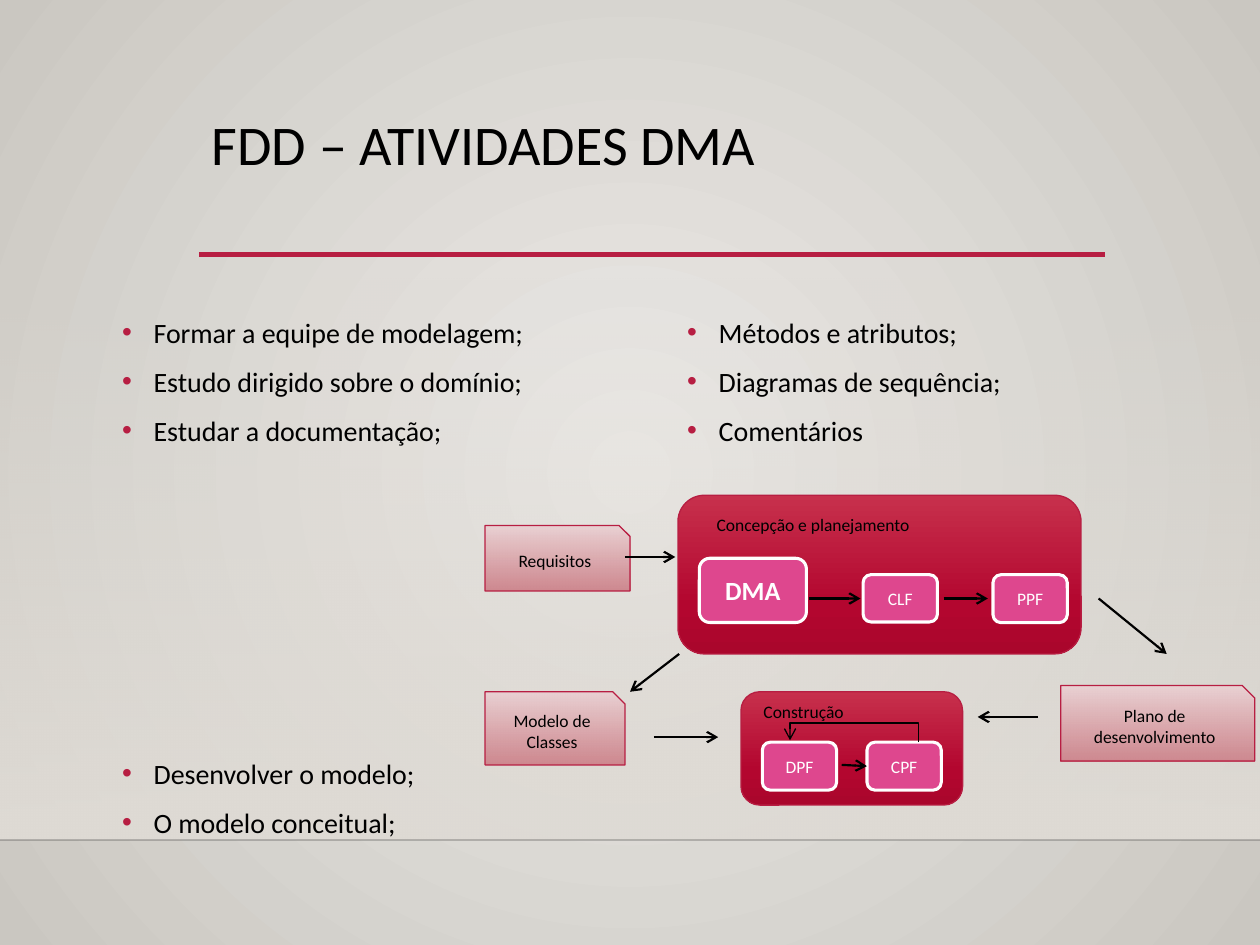
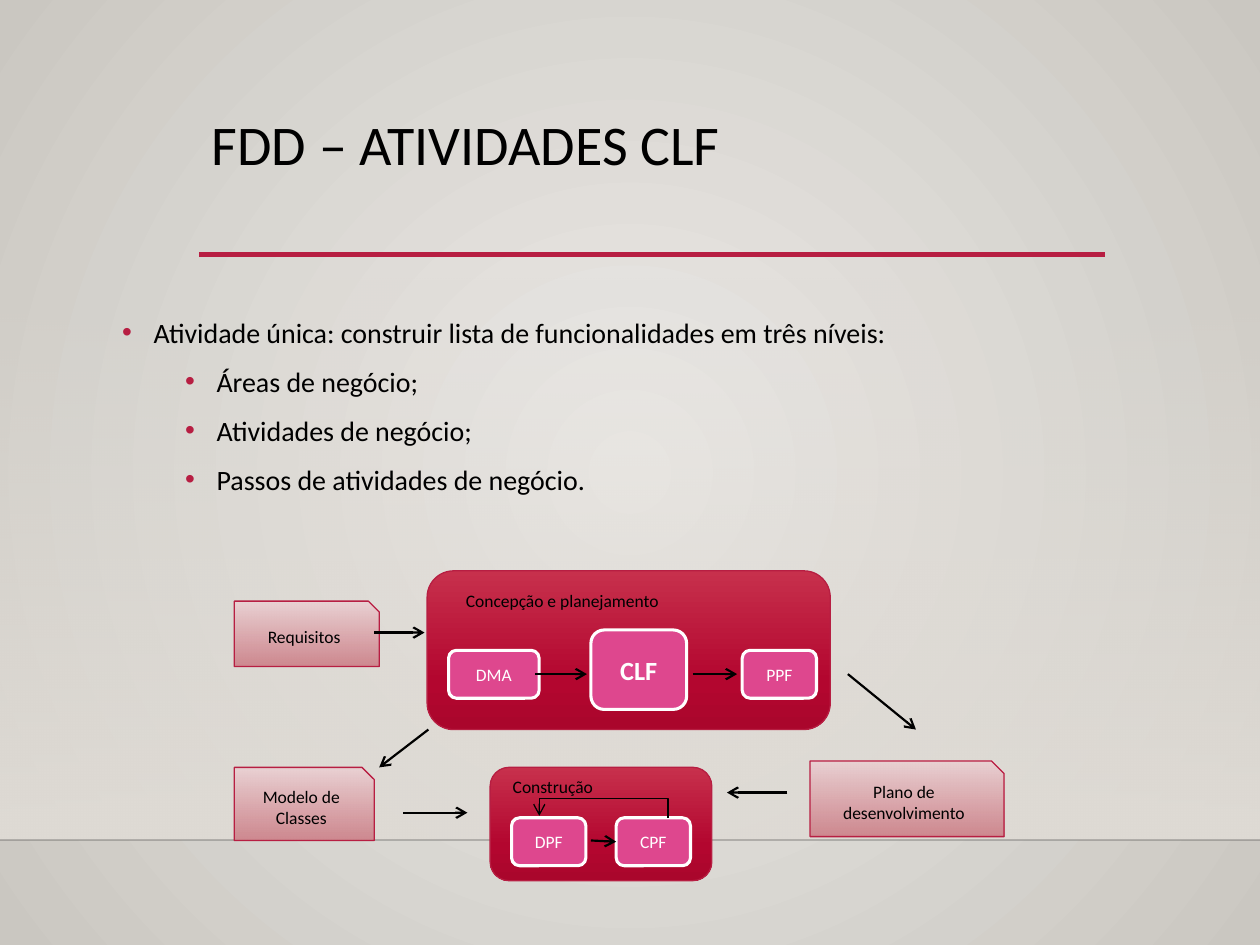
from lxml import etree
from pptx import Presentation
from pptx.dml.color import RGBColor
from pptx.enum.shapes import MSO_CONNECTOR, MSO_SHAPE
from pptx.enum.text import MSO_ANCHOR, MSO_AUTO_SIZE, PP_ALIGN
from pptx.oxml.ns import qn
from pptx.util import Pt

RECT, ROUNDED, SNIPPED = MSO_SHAPE.RECTANGLE, MSO_SHAPE.ROUNDED_RECTANGLE, MSO_SHAPE.SNIP_1_RECTANGLE
STRAIGHT, ELBOW = MSO_CONNECTOR.STRAIGHT, MSO_CONNECTOR.ELBOW
TOP, MIDDLE = MSO_ANCHOR.TOP, MSO_ANCHOR.MIDDLE
LEFT, CENTER = PP_ALIGN.LEFT, PP_ALIGN.CENTER
NO_FIT = MSO_AUTO_SIZE.NONE

FONT = "Calibri"
BLACK = RGBColor(0x00, 0x00, 0x00)
WHITE = RGBColor(0xFF, 0xFF, 0xFF)
CRIMSON = RGBColor(0xB7, 0x1E, 0x42)
PINK = RGBColor(0xDE, 0x47, 0x8E)
BAND = RGBColor(0xDF, 0xDB, 0xD5)

# Gradient stops: position %, colour, opacity %
BACKGROUND_STOPS = [(0, RGBColor(0xEC, 0xEA, 0xE7), 100), (100, RGBColor(0xCA, 0xC7, 0xC1), 100)]
BAND_STOPS = [(0, BAND, 0), (100, BAND, 100)]
PHASE_STOPS = [(0, RGBColor(0xC7, 0x30, 0x4C), 100), (69, RGBColor(0xB3, 0x06, 0x2F), 100),
               (100, RGBColor(0xAA, 0x06, 0x2C), 100)]
DOCUMENT_STOPS = [(0, RGBColor(0xEA, 0xD1, 0xD3), 100), (100, RGBColor(0xCD, 0x82, 0x8A), 92)]


def add_xml(parent, tag, **attributes):
    return etree.SubElement(parent, qn(tag), attributes)


def fill_gradient(fill, holder, stops, radial=False):
    fill.gradient()
    gradient = next(holder.iter(qn("a:gradFill")))
    gradient.clear()
    stop_list = add_xml(gradient, "a:gsLst")
    for position, color, opacity in stops:
        stop = add_xml(stop_list, "a:gs", pos=str(position * 1000))
        value = add_xml(stop, "a:srgbClr", val=str(color))
        if opacity < 100:
            add_xml(value, "a:alpha", val=str(opacity * 1000))
    if radial:
        circle = add_xml(gradient, "a:path", path="circle")
        add_xml(circle, "a:fillToRect", l="50000", t="50000", r="50000", b="50000")
    else:
        add_xml(gradient, "a:lin", ang="5400000", scaled="0")


class Deck:
    def __init__(self):
        self.presentation = Presentation()
        self.presentation.slide_width, self.presentation.slide_height = Pt(720), Pt(540)
        self.slide = None
        self.origin = (0, 0)

    def start_slide(self, title):
        self.slide = self.presentation.slides.add_slide(self.presentation.slide_layouts[1])
        self.origin = (0, 0)
        heading = self.slide.shapes.title
        self.place(heading, 113.8, 63.4, 517.7, 82.8)
        heading.text_frame.text = title
        self.style_text(heading.text_frame, 32, BLACK, LEFT, TOP)
        heading.text_frame.paragraphs[0].line_spacing = 0.9

    def share_backdrop(self):
        """Draw the backdrop once and hand it to the master."""
        master = self.presentation.slide_master
        background = master.background
        fill_gradient(background.fill, master.element, BACKGROUND_STOPS, radial=True)
        band = self.box(RECT, 0, 158.4, 720, 321.4, BAND_STOPS)
        floor = self.line((0, 480), (720, 480), RGBColor(0, 0, 1), 1)
        add_xml(next(floor.element.iter(qn("a:srgbClr"))), "a:alpha", val="20000")
        title_rule = self.line((113.8, 145.4), (631.4, 145.4), CRIMSON, 2.5)
        for index, part in enumerate((band, floor, title_rule)):
            next(part.element.iter(qn("p:cNvPr"))).set("id", str(100 + index))
            master.shapes.element.insert(2 + index, part.element)

    def place(self, shape, left, top, width, height):
        shape.left, shape.top, shape.width, shape.height = Pt(left), Pt(top), Pt(width), Pt(height)

    def point(self, x, y):
        return Pt(self.origin[0] + x), Pt(self.origin[1] + y)

    def style_text(self, frame, size, color, align, anchor, bold=False):
        frame.word_wrap = True
        frame.auto_size = NO_FIT
        frame.vertical_anchor = anchor
        for paragraph in frame.paragraphs:
            paragraph.alignment = align
            for run in paragraph.runs:
                run.font.name, run.font.size, run.font.bold = FONT, Pt(size), bold
                run.font.color.rgb = color

    def bullets(self, items, columns=1):
        """Fill the body; each item is (text, level, space before)."""
        body = self.slide.placeholders[1]
        self.place(body, 26.6, 172.8, 660.2, 320.4)
        frame = body.text_frame
        frame.text = "\n".join(text for text, _, _ in items)
        self.style_text(frame, 16, BLACK, LEFT, TOP)
        if columns > 1:
            frame._txBody.bodyPr.set("numCol", str(columns))
        for paragraph, (_, level, space) in zip(frame.paragraphs, items):
            paragraph.level = level
            paragraph.line_spacing = 1.2
            paragraph.space_before, paragraph.space_after = Pt(space), Pt(0)
            properties = paragraph._p.get_or_add_pPr()
            properties.set("marL", str(Pt(18 + 36 * level)))
            properties.set("indent", str(-Pt(18)))
            add_xml(add_xml(properties, "a:buClr"), "a:srgbClr", val=str(CRIMSON))
            add_xml(properties, "a:buFont", typeface="Arial")
            add_xml(properties, "a:buChar", char="•")

    def box(self, kind, left, top, width, height, stops=None):
        shape = self.slide.shapes.add_shape(kind, *self.point(left, top), Pt(width), Pt(height))
        shape.shadow.inherit = False
        shape.line.fill.background()
        if stops:
            fill_gradient(shape.fill, shape.element, stops)
        return shape

    def outline(self, shape, color, width):
        shape.line.color.rgb = color
        shape.line.width = Pt(width)

    def phase(self, name, bounds, label_bounds):
        self.outline(self.box(ROUNDED, *bounds, PHASE_STOPS), CRIMSON, 0.75)
        left, top, width, height = label_bounds
        label = self.slide.shapes.add_textbox(*self.point(left, top), Pt(width), Pt(height))
        label.text_frame.text = name
        self.style_text(label.text_frame, 10, BLACK, LEFT, TOP)

    def document(self, name, *bounds):
        shape = self.box(SNIPPED, *bounds, DOCUMENT_STOPS)
        self.outline(shape, CRIMSON, 0.75)
        shape.text_frame.text = name
        self.style_text(shape.text_frame, 10, BLACK, CENTER, MIDDLE)

    def process(self, name, bounds, current=False):
        shape = self.box(ROUNDED, *bounds)
        shape.fill.solid()
        shape.fill.fore_color.rgb = PINK
        self.outline(shape, WHITE, 1.75)
        shape.text_frame.text = name
        self.style_text(shape.text_frame, 15 if current else 10, WHITE, CENTER, MIDDLE, current)
        return shape

    def line(self, start, end, color=BLACK, width=1.25, kind=STRAIGHT):
        connector = self.slide.shapes.add_connector(kind, *self.point(*start), *self.point(*end))
        self.outline(connector, color, width)
        add_xml(connector.element.spPr, "a:effectLst")
        return connector

    def arrow(self, start, end, width=1.25, kind=STRAIGHT):
        connector = self.line(start, end, width=width, kind=kind)
        add_xml(next(connector.element.iter(qn("a:ln"))), "a:tailEnd", type="arrow")
        return connector

    def return_arrow(self, start, end):
        """Elbow turned a quarter, leaving and arriving from above."""
        loop = self.arrow(start, end, 0.75, ELBOW)
        loop.element.spPr.xfrm.set("rot", "16200000")
        adjustments = next(loop.element.iter(qn("a:avLst")))
        add_xml(adjustments, "a:gd", name="adj1", fmla="val 1100000")

    def fdd_diagram(self, origin, current, enlarged, first_arrow):
        """Draw the FDD process with one activity enlarged."""
        self.origin = origin
        # Phases and documents
        self.phase("Concepção e planejamento", (110.2, 0, 230.4, 90.7), (125.3, 7.2, 175, 36))
        self.phase("Construção", (146.2, 112.3, 126.7, 64.8), (152, 113.8, 94.3, 22.3))
        self.document("Requisitos", 0, 17.3, 82.8, 37.4)
        self.document("Modelo de Classes", 0, 112.3, 79.9, 41.8)
        self.document("Plano de desenvolvimento", 329, 108.7, 110.9, 43.2)
        # Activities
        activities = {
            "DMA": (122.4, 45.4, 51.8, 27.4),
            "CLF": (216, 45.4, 42.5, 27),
            "PPF": (290.2, 45.4, 42.5, 27.4),
            "DPF": (158.4, 141.1, 42.5, 27.4),
            "CPF": (218.2, 141.1, 42.5, 27.4),
        }
        activities[current] = enlarged
        shapes = {name: self.process(name, bounds, name == current)
                  for name, bounds in activities.items()}
        # Flow
        flow = [
            ((first_arrow, 59), (first_arrow + 29.5, 59)),
            ((262, 59), (287.3, 59)),
            ((110.9, 90.7), (82.8, 112.3)),
            ((79.9, 35.3), (108.7, 35.3)),
            ((350.6, 59), (389.5, 90.7)),
            ((316, 126.7), (281.5, 126.7)),
            ((96.5, 138.2), (133.2, 138.2)),
        ]
        for start, end in flow:
            self.arrow(start, end)
        self.return_arrow((210.5, 177.3), (211.5, 103.8))
        self.arrow((203.8, 154.1), (218.2, 154.8)).end_connect(shapes["CPF"], 1)


def main():
    deck = Deck()

    # DMA activities
    deck.start_slide("FDD – ATIVIDADES DMA")
    deck.share_backdrop()
    deck.bullets([
        ("Formar a equipe de modelagem;", 1, 5),
        ("Estudo dirigido sobre o domínio;", 1, 5),
        ("Estudar a documentação;", 1, 5),
        ("Desenvolver o modelo;", 1, 173),
        ("O modelo conceitual;", 1, 5),
        ("Métodos e atributos;", 1, 5),
        ("Diagramas de sequência;", 1, 5),
        ("Comentários", 1, 5),
    ], columns=2)
    deck.fdd_diagram((277.2, 283), "DMA", (122.4, 36, 61.2, 36.7), 185)

    # CLF activities
    deck.start_slide("FDD – ATIVIDADES CLF")
    deck.bullets([
        ("Atividade única: construir lista de funcionalidades em três níveis:", 1, 5),
        ("Áreas de negócio;", 2, 5),
        ("Atividades de negócio;", 2, 5),
        ("Passos de atividades de negócio.", 2, 5),
    ])
    deck.fdd_diagram((133.9, 326.2), "CLF", (203.8, 33.8, 54.7, 45.4), 172)

    deck.presentation.save("out.pptx")


if __name__ == "__main__":
    main()
